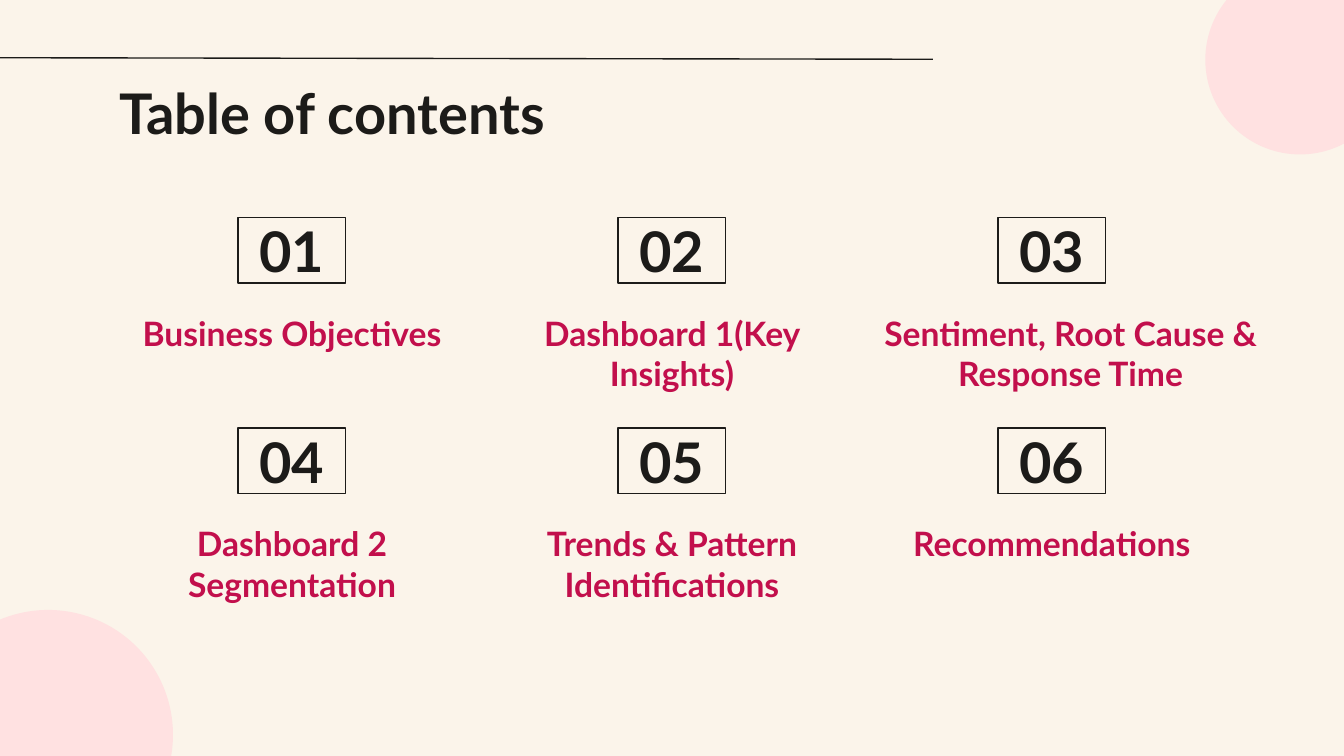
from dataclasses import dataclass

from lxml import etree
from pptx import Presentation
from pptx.dml.color import RGBColor
from pptx.enum import shapes, text
from pptx.oxml.ns import qn
from pptx.slide import Slide
from pptx.text.text import TextFrame
from pptx.util import Cm, Pt

COLOURS = {"cream": "FBF4EA", "blush": "FFE1E1", "ink": "1C1B19", "crimson": "C20F4C"}
FONT = "Lato"
COLUMNS = 3
COLUMN_STEP, ROW_STEP = 7.18, 3.98  # cm
BOX_LEFT, BOX_TOP, BOX_WIDTH = 4.5, 4.11, 2.03
TOPIC_LEFT, TOPIC_TOP = 2.0, 5.66
ROW_HEIGHT = 1.24


@dataclass
class Circle:
    left: float
    top: float
    diameter: float


@dataclass
class Section:
    topic: str
    width: float = 7.04


CIRCLES = [Circle(22.78, -0.66, 3.58), Circle(-1.45, 11.53, 4.72)]
SECTIONS = [
    Section("Business Objectives"),
    Section("Dashboard 1(Key Insights)"),
    Section("Sentiment, Root Cause & Response Time", 7.75),
    Section("Dashboard 2 Segmentation"),
    Section("Trends & Pattern Identifications"),
    Section("Recommendations"),
]


def colour(name: str) -> RGBColor:
    return RGBColor.from_string(COLOURS[name])


def write(frame: TextFrame, words: str, size: int, ink: str,
          align: text.PP_ALIGN = text.PP_ALIGN.CENTER,
          anchor: text.MSO_ANCHOR = text.MSO_ANCHOR.TOP) -> None:
    frame.text = words
    frame.word_wrap = True
    frame.vertical_anchor = anchor
    frame.margin_left = frame.margin_right = Cm(0.25)
    frame.margin_top = frame.margin_bottom = Cm(0.25)
    paragraph = frame.paragraphs[0]
    paragraph.alignment = align
    font = paragraph.runs[0].font
    font.name, font.size, font.bold = FONT, Pt(size), True
    font.color.rgb = colour(ink)


def draw_circle(slide: Slide, circle: Circle) -> None:
    disc = slide.shapes.add_shape(
        shapes.MSO_SHAPE.OVAL, Cm(circle.left), Cm(circle.top),
        Cm(circle.diameter), Cm(circle.diameter))
    disc.shadow.inherit = False
    disc.fill.solid()
    disc.fill.fore_color.rgb = colour("blush")
    disc.line.fill.background()


def draw_rule(slide: Slide) -> None:
    rule = slide.shapes.add_connector(
        shapes.MSO_CONNECTOR.STRAIGHT, Cm(17.63), Cm(1.12), Cm(-0.71), Cm(1.09))
    rule.line.color.rgb = colour("ink")
    rule.line.width = Pt(0.75)
    etree.SubElement(rule._element.spPr, qn("a:effectLst"))


def draw_section(slide: Slide, index: int, section: Section) -> None:
    row, column = divmod(index, COLUMNS)
    across, down = column * COLUMN_STEP, row * ROW_STEP

    # Framed number
    number = slide.shapes.add_shape(
        shapes.MSO_SHAPE.RECTANGLE, Cm(BOX_LEFT + across), Cm(BOX_TOP + down),
        Cm(BOX_WIDTH), Cm(ROW_HEIGHT))
    number.shadow.inherit = False
    number.fill.background()
    number.line.color.rgb = colour("ink")
    number.line.width = Pt(0.75)
    write(number.text_frame, f"{index + 1:02}", 30, "ink",
          anchor=text.MSO_ANCHOR.MIDDLE)

    # Topic below it
    topic = slide.shapes.add_textbox(
        Cm(TOPIC_LEFT + across), Cm(TOPIC_TOP + down),
        Cm(section.width), Cm(ROW_HEIGHT))
    write(topic.text_frame, section.topic, 18, "crimson")


def main() -> None:
    deck = Presentation()
    deck.slide_width, deck.slide_height = Cm(25.4), Cm(14.29)
    slide = deck.slides.add_slide(deck.slide_layouts[6])

    # Background and decoration
    slide.background.fill.solid()
    slide.background.fill.fore_color.rgb = colour("cream")
    for circle in CIRCLES:
        draw_circle(slide, circle)
    draw_rule(slide)

    # Heading
    heading = slide.shapes.add_textbox(Cm(2), Cm(1.24), Cm(21.41), Cm(1.6))
    write(heading.text_frame, "Table of contents", 30, "ink", text.PP_ALIGN.LEFT)

    # Grid of sections
    for index, section in enumerate(SECTIONS):
        draw_section(slide, index, section)

    deck.save("out.pptx")


if __name__ == "__main__":
    main()
